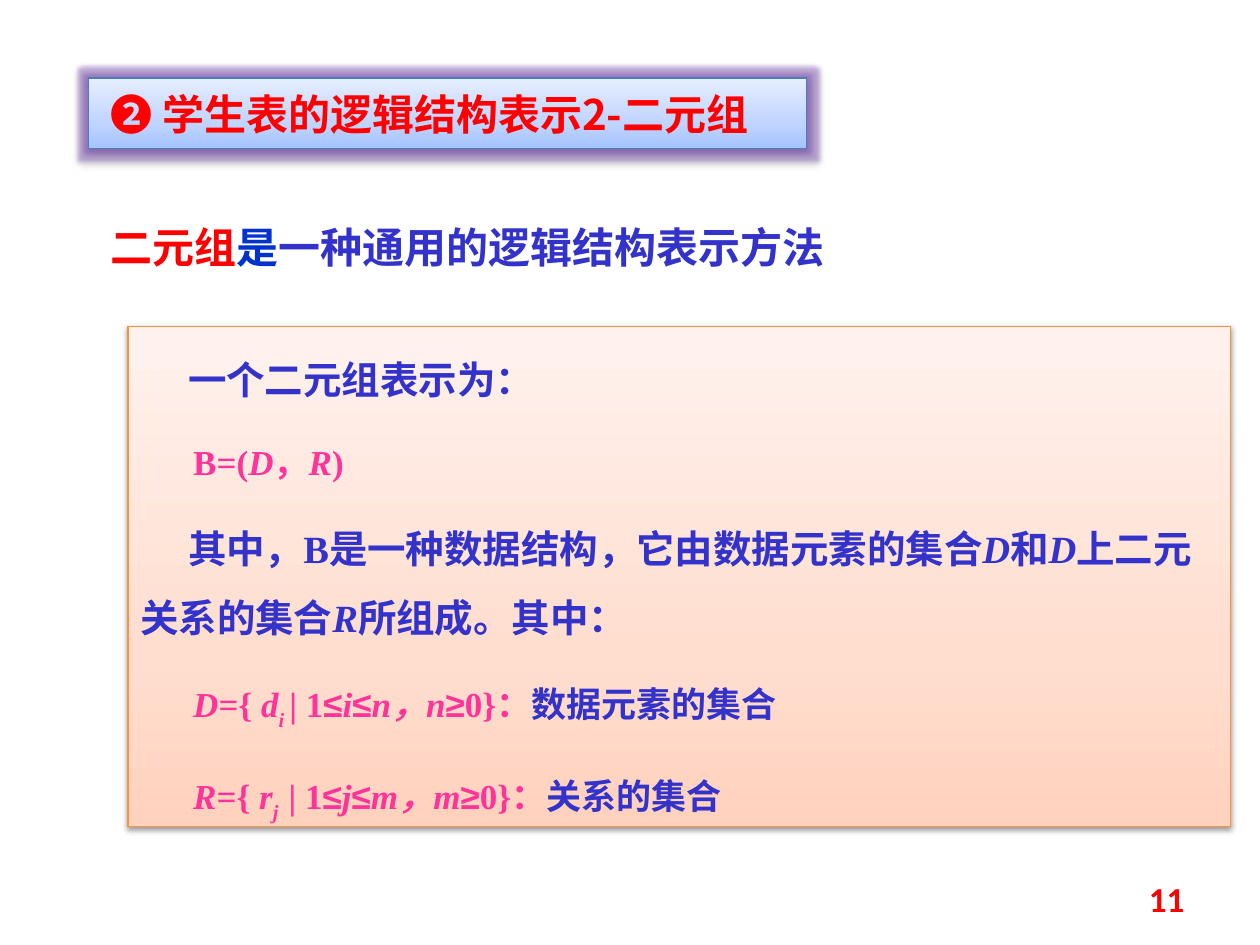
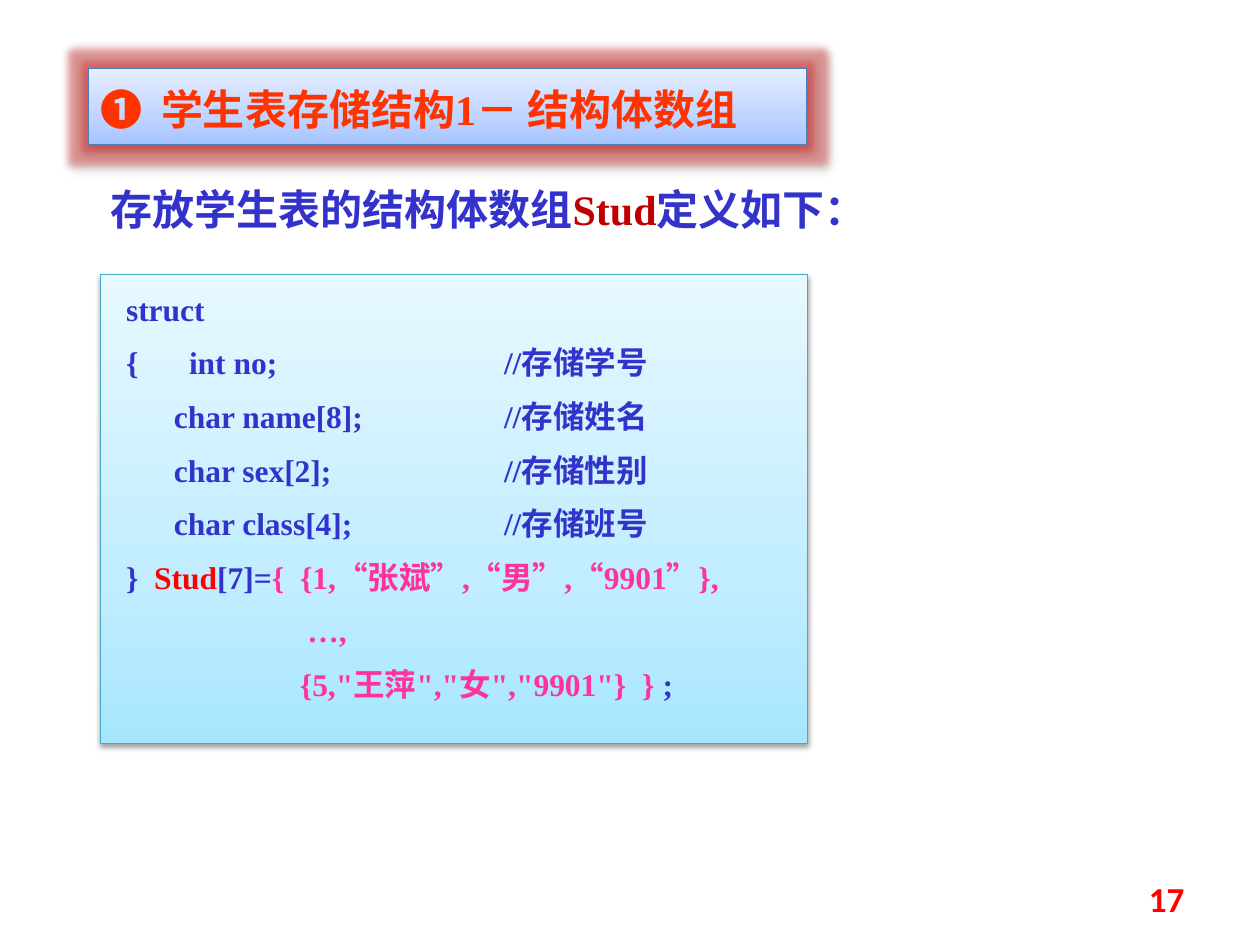
"""Build two slides on the logical and storage structures of a student table."""
from lxml import etree
from pptx import Presentation
from pptx.dml.color import RGBColor
from pptx.enum.shapes import MSO_SHAPE
from pptx.enum.text import MSO_ANCHOR, MSO_AUTO_SIZE, PP_ALIGN
from pptx.oxml import parse_xml
from pptx.oxml.ns import nsdecls, qn
from pptx.util import Inches, Pt

RECTANGLE = MSO_SHAPE.RECTANGLE
TOP, MIDDLE = MSO_ANCHOR.TOP, MSO_ANCHOR.MIDDLE
GROW, FIXED = MSO_AUTO_SIZE.SHAPE_TO_FIT_TEXT, MSO_AUTO_SIZE.NONE
LEFT, RIGHT, JUSTIFY = PP_ALIGN.LEFT, PP_ALIGN.RIGHT, PP_ALIGN.JUSTIFY

SERIF, SANS, SYMBOL, CHINESE = "Times New Roman", "Calibri", "Arial", "Noto Sans CJK SC"
BLUE, PINK, RED = "3333CC", "FF3399", "FF0000"
PEACH = {"stops": ("FFD2BD", "FFDED0", "FFF2ED"), "outline": "F69240"}
CYAN = {"stops": ("A7E6FF", "C1EDFF", "E7F8FF"), "outline": "46AAC5"}
TITLE_BLUE = {"stops": ("A4C4FF", "BFD4FF", "E6EEFF"), "outline": "4B7EBC"}
HANGING = {"margin": 0.48, "indent": -0.48}

presentation = Presentation()
presentation.slide_width, presentation.slide_height = Inches(10), Inches(7.5)
COLUMN = presentation.slide_width / 100
ROW = presentation.slide_height / 75


def fill_panel(shape, stops, outline, glow=None):
    """Give a shape its gradient, outline, soft shadow and optional glow."""
    shape.line.color.rgb = RGBColor.from_string(outline)
    shape.line.width = Pt(0.75)
    gradient_stops = "".join(
        f'<a:gs pos="{position}"><a:srgbClr val="{colour}"/></a:gs>'
        for position, colour in zip((0, 35000, 100000), stops))
    shape._element.spPr.find(qn("a:ln")).addprevious(parse_xml(
        f'<a:gradFill {nsdecls("a")} rotWithShape="1"><a:gsLst>{gradient_stops}</a:gsLst>'
        '<a:lin ang="16200000" scaled="0"/></a:gradFill>'))
    shape.shadow.inherit = False
    effects = shape._element.spPr.find(qn("a:effectLst"))
    if glow:
        colour, radius = glow
        effects.append(parse_xml(
            f'<a:glow {nsdecls("a")} rad="{Pt(radius)}"><a:srgbClr val="{colour}">'
            '<a:alpha val="40000"/></a:srgbClr></a:glow>'))
    effects.append(parse_xml(
        f'<a:outerShdw {nsdecls("a")} blurRad="40000" dist="20000" dir="5400000" rotWithShape="0">'
        '<a:srgbClr val="000000"><a:alpha val="38000"/></a:srgbClr></a:outerShdw>'))


def add_text(slide, box, paragraphs, *, panel=None, size=24, font=SERIF, colour=BLUE,
             align=JUSTIFY, margin=0, indent=0, spacing=None, before=True,
             inset=(0.1, 0.05), anchor=TOP, auto_size=GROW):
    """Place paragraphs of (text, overrides) runs; a paragraph may start with its own layout."""
    left, width = (round(value * COLUMN) for value in box[::2])
    top, height = (round(value * ROW) for value in box[1::2])
    if panel:
        shape = slide.shapes.add_shape(RECTANGLE, left, top, width, height)
        fill_panel(shape, **panel)
    else:
        shape = slide.shapes.add_textbox(left, top, width, height)
    frame = shape.text_frame
    frame.word_wrap, frame.auto_size, frame.vertical_anchor = True, auto_size, anchor
    frame.margin_left = frame.margin_right = Inches(inset[0])
    frame.margin_top = frame.margin_bottom = Inches(inset[1])
    for number, runs in enumerate(paragraphs):
        layout = {"margin": margin, "indent": indent, "align": align}
        if isinstance(runs[0], dict):
            layout.update(runs[0])
            runs = runs[1:]
        paragraph = frame.add_paragraph() if number else frame.paragraphs[0]
        paragraph.alignment = layout["align"]
        if spacing:
            paragraph.line_spacing = spacing
        properties = paragraph._p.get_or_add_pPr()
        properties.set("marL", str(Inches(layout["margin"])))
        properties.set("indent", str(Inches(layout["indent"])))
        if before:
            space = etree.SubElement(properties, qn("a:spcBef"))
            etree.SubElement(space, qn("a:spcPct"), val="50000")
        for text, overrides in runs:
            style = {"size": size, "font": font, "colour": colour, **overrides}
            run = paragraph.add_run()
            run.text = text
            run.font.size, run.font.name, run.font.bold = Pt(style["size"]), style["font"], True
            run.font.italic = style.get("italic", False)
            run.font.color.rgb = RGBColor.from_string(style["colour"])
            etree.SubElement(run.font._element, qn("a:ea"), typeface=CHINESE)
            if style.get("subscript"):
                run.font._element.set("baseline", "-30000")


blank = presentation.slide_layouts[6]
tuple_slide, storage_slide = (presentation.slides.add_slide(blank) for _ in range(2))

plain, italic = {"size": 22}, {"size": 22, "italic": True}
pink, pink_italic = {"colour": PINK}, {"colour": PINK, "italic": True}
pink_symbol = {"colour": PINK, "font": SYMBOL}
pink_subscript = {**pink_italic, "subscript": True}

set_definitions = [
    [(name, pink_italic), ("={ ", pink), (member, pink_italic), (subscript, pink_subscript),
     ("| 1", pink), ("≤", pink_symbol), (subscript.strip(), pink_italic), ("≤", pink_symbol),
     (f"{limit}，{limit}", pink_italic), ("≥", pink_symbol), ("0}：", pink),
     (meaning, {"font": SANS})]
    for name, member, subscript, limit, meaning in (
        ("D", "d", "i ", "n", "数据元素的集合"), ("R", "r", "j  ", "m", "关系的集合"))]

add_text(tuple_slide, (10.15, 25.9, 87.5, 39.7), [
    [{"indent": 0.38}, ("一个二元组表示为：", plain)],
    [("B=(", pink), ("D", pink_italic), ("，", pink), ("R", pink_italic), (")", pink)],
    [{"align": LEFT, "indent": 0.38}, ("其中，B是一种数据结构，它由数据元素的集合", plain),
     ("D", italic), ("和", plain), ("D", italic), ("上二元关系的集合", plain), ("R", italic),
     ("所组成。其中：", plain)],
    *set_definitions,
], panel=PEACH, size=20, indent=0.42, spacing=1.5)

add_text(tuple_slide, (7.8, 16.7, 69.5, 5.5), [
    [("二元组", {"colour": RED}), ("是", {"colour": "0033CC"}),
     ("一种通用的逻辑结构表示方法", {"font": SERIF})],
], font=CHINESE, spacing=1.1, **HANGING)

add_text(tuple_slide, (7, 6.2, 57, 5.6), [[("❷ 学生表的逻辑结构表示2-二元组", {})]],
         panel={**TITLE_BLUE, "glow": ("7F4FB8", 5)}, font=CHINESE, colour=RED,
         align=LEFT, indent=0.08, inset=(0.1, 0.08))

fields = (("char name[8];", "存储姓名"), ("char sex[2];", "存储性别"), ("char class[4];", "存储班号"))
add_text(storage_slide, (8, 21.8, 56.1, 37.2), [
    [("struct", {})],
    [("{\tint no;\t\t\t\t//存储学号", {})],
    *[[{"indent": 0.38}, (f"{declaration}\t\t\t//{comment}", {})]
      for declaration, comment in fields],
    [("}  ", {}), ("Stud", {"colour": RED}), ("[7]=", {}),
     ("{  {1,“张斌”,“男”,“9901”},", pink)],
    [{"indent": 1.44}, ("…,", pink)],
    [{"indent": 1.38}, ('{5,"王萍","女","9901"}  } ', pink), (";", {})],
], panel=CYAN, size=18, inset=(0.2, 0.12))

add_text(storage_slide, (7, 5.45, 57, 6), [[("❶\t学生表存储结构1－ 结构体数组", {})]],
         panel={**TITLE_BLUE, "glow": ("D82F2A", 8)}, colour="FF3300", spacing=1.1,
         inset=(0.1, 0.08), **HANGING)

add_text(storage_slide, (7.8, 14.1, 65.6, 5), [
    [("存放学生表的结构体数组", {}), ("Stud", {"colour": "C00000"}), ("定义如下：", {})],
], **HANGING)

for slide, page in ((tuple_slide, "11"), (storage_slide, "17")):
    add_text(slide, (71.7, 69.3, 23.3, 4), [[(page, {})]], size=20, font=SANS, colour=RED,
             align=RIGHT, before=False, anchor=MIDDLE, auto_size=FIXED)

presentation.save("out.pptx")
